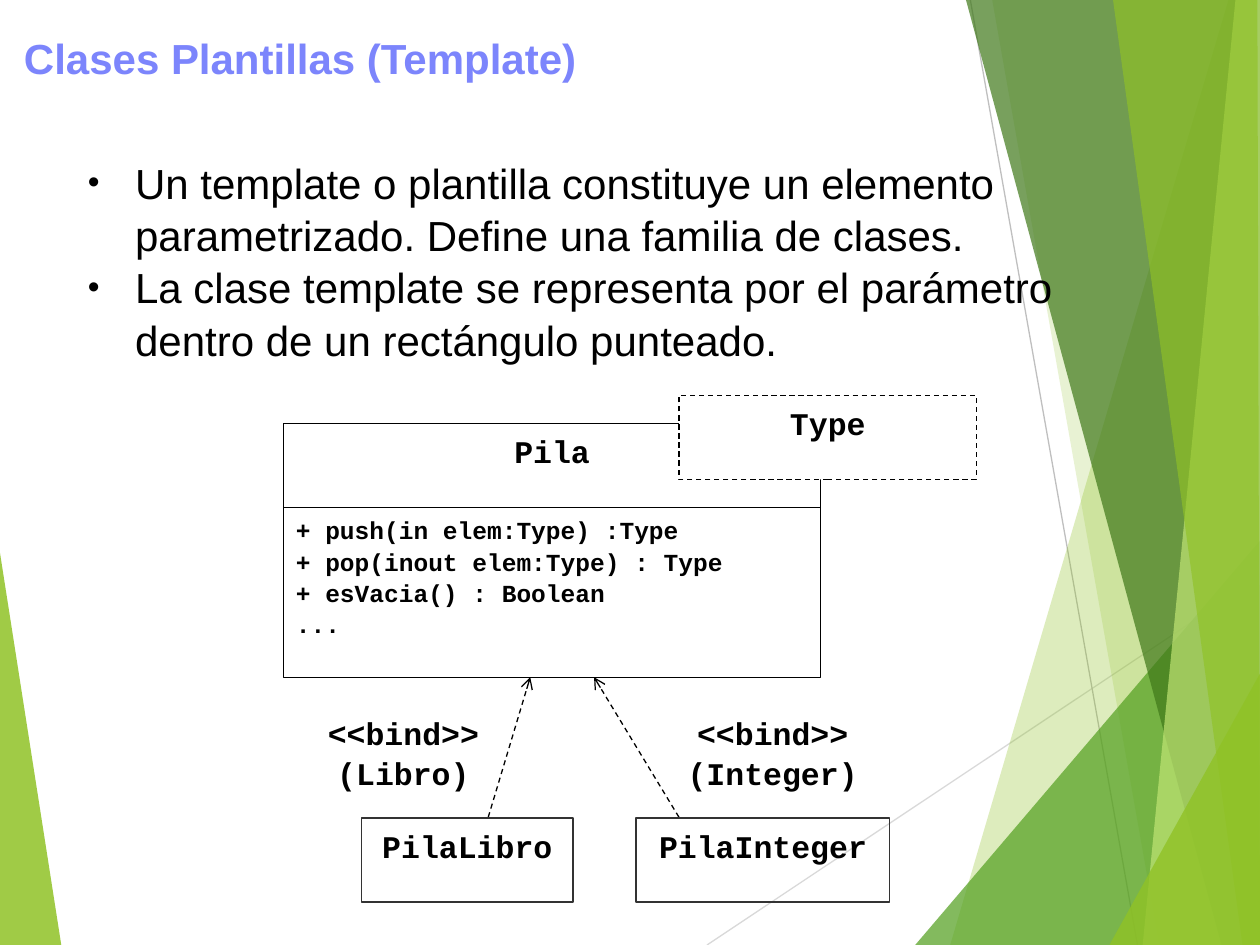
"""Build the slide on template classes with its UML binding diagram."""
from dataclasses import dataclass

from lxml import etree
from pptx import Presentation
from pptx.dml.color import RGBColor
from pptx.enum import dml, shapes, text
from pptx.oxml import ns
from pptx.util import Pt


@dataclass(frozen=True)
class Theme:
    """Colours, fonts and sizes of the slide."""
    heading: str = "7C85FC"
    ink: str = "000000"
    paper: str = "FFFFFF"
    soft_ink: str = "333333"
    lime: str = "90C226"
    green: str = "54A021"
    forest: str = "3F7819"
    pale: str = "C0E474"
    ray: str = "D9D9D9"
    dark_ray: str = "BFBFBF"
    sans: str = "Arial"
    mono: str = "Courier New"
    prose_size: int = 24
    name_size: int = 18
    code_size: int = 14
    hairline: float = 0.75
    prose_spacing: float = 1.04
    mono_spacing: float = 1.06


THEME = Theme()
WIDTH, HEIGHT = 720, 540
LEFT_WEDGE = [(0, 316), (35, 540), (0, 540)]
RIGHT_FACETS = [
    ([(702, 0), (543, 540), (720, 540), (720, 0)], THEME.lime, 30),
    ([(567, 0), (662.5, 540), (720, 540), (720, 0)], THEME.lime, 20),
    ([(523, 540), (720, 309), (720, 540)], THEME.green, 72),
    ([(552, 0), (698, 540), (720, 540), (720, 0)], THEME.forest, 70),
    ([(706, 0), (653, 540), (720, 540), (720, 0)], THEME.pale, 70),
    ([(636, 0), (710, 540), (720, 540), (718.5, 0)], THEME.lime, 65),
    ([(634, 540), (720, 385), (720, 540)], THEME.lime, 80),
]
POINTS = [
    "Un template o plantilla constituye un elemento parametrizado. "
    "Define una familia de clases.",
    "La clase template se representa por el parámetro dentro de un "
    "rectángulo punteado.",
]
OPERATIONS = [
    "+ push(in elem:Type) :Type",
    "+ pop(inout elem:Type) : Type",
    "+ esVacia() : Boolean",
    "...",
]


def add_child(parent, tag, **attributes):
    """Append a DrawingML element to parent and return it."""
    return etree.SubElement(parent, ns.qn(tag), attributes)


def style_font(paragraph, size, family, color, bold):
    """Set the font of a whole paragraph."""
    font = paragraph.font
    font.size, font.name, font.bold = Pt(size), family, bold
    font.color.rgb = RGBColor.from_string(color)


def style_line(line, color, dashed=False):
    """Give an outline or connector its hairline stroke."""
    line.color.rgb = RGBColor.from_string(color)
    line.width = Pt(THEME.hairline)
    if dashed:
        line.dash_style = dml.MSO_LINE.DASH


def add_facet(slide, corners, color, opacity):
    """Draw one translucent polygon of the background."""
    builder = slide.shapes.build_freeform(*map(Pt, corners[0]))
    builder.add_line_segments([(Pt(x), Pt(y)) for x, y in corners[1:]])
    facet = builder.convert_to_shape()
    facet.shadow.inherit = False
    facet.line.fill.background()
    facet.fill.solid()
    facet.fill.fore_color.rgb = RGBColor.from_string(color)
    tint = facet.element.spPr.find(".//" + ns.qn("a:srgbClr"))
    add_child(tint, "a:alpha", val=str(opacity * 1000))


def add_line(slide, start, end, color, binding=False):
    """Draw a plain ray, or a dashed arrow for a binding."""
    link = slide.shapes.add_connector(
        shapes.MSO_CONNECTOR.STRAIGHT, *map(Pt, (*start, *end)))
    style_line(link.line, color, binding)
    if binding:
        add_child(link.line._get_or_add_ln(), "a:tailEnd", type="arrow")
    add_child(link.element.spPr, "a:effectLst")


def write_mono(frame, lines, size, align):
    """Write bold monospaced paragraphs from the top of a frame."""
    frame.word_wrap = True
    frame.vertical_anchor = text.MSO_ANCHOR.TOP
    frame.text = "\n".join(lines)
    for paragraph in frame.paragraphs:
        paragraph.alignment = align
        paragraph.line_spacing = THEME.mono_spacing
        style_font(paragraph, size, THEME.mono, THEME.ink, True)


def add_class_box(slide, bounds, lines, size=THEME.name_size,
                  align=text.PP_ALIGN.CENTER, fill=None, line=THEME.ink,
                  dashed=False):
    """Draw one compartment of a UML class."""
    box = slide.shapes.add_shape(
        shapes.MSO_SHAPE.RECTANGLE, *map(Pt, bounds))
    box.shadow.inherit = False
    if fill:
        box.fill.solid()
        box.fill.fore_color.rgb = RGBColor.from_string(fill)
    else:
        box.fill.background()
    style_line(box.line, line, dashed)
    write_mono(box.text_frame, lines, size, align)


def add_binding_label(slide, bounds, label):
    """Write the stereotype beside a binding arrow."""
    box = slide.shapes.add_textbox(*map(Pt, bounds))
    write_mono(box.text_frame, [label], THEME.name_size,
               text.PP_ALIGN.CENTER)


def place_placeholder(placeholder, bounds, content, anchor):
    """Move a placeholder to the front, set its bounds and fill it."""
    placeholder.element.getparent().append(placeholder.element)
    (placeholder.left, placeholder.top,
     placeholder.width, placeholder.height) = map(Pt, bounds)
    frame = placeholder.text_frame
    frame.word_wrap = True
    frame.auto_size = text.MSO_AUTO_SIZE.NONE
    frame.vertical_anchor = anchor
    frame.text = content
    return frame.paragraphs


def add_title(slide, content):
    """Write the slide title."""
    heading, = place_placeholder(
        slide.shapes.title, (6.5, 6.5, 706, 45), content,
        text.MSO_ANCHOR.BOTTOM)
    heading.alignment = text.PP_ALIGN.LEFT
    heading.line_spacing = 0.9
    style_font(heading, THEME.prose_size, THEME.sans, THEME.heading, True)


def add_bullets(slide, points):
    """Write the bulleted explanation."""
    for point in place_placeholder(
            slide.placeholders[1], (43, 85, 634, 387), "\n".join(points),
            text.MSO_ANCHOR.TOP):
        point.space_before = Pt(0)
        point.line_spacing = THEME.prose_spacing
        layout = point._p.get_or_add_pPr()
        layout.set("marL", str(Pt(27)))
        layout.set("indent", str(Pt(-27)))
        add_child(add_child(layout, "a:buClr"), "a:srgbClr", val=THEME.ink)
        add_child(layout, "a:buSzPct", val="80000")
        add_child(layout, "a:buFont", typeface=THEME.sans)
        add_child(layout, "a:buChar", char="•")
        style_font(point, THEME.prose_size, THEME.sans, THEME.ink, False)


def add_background(slide):
    """Draw the green facets and thin rays."""
    add_facet(slide, LEFT_WEDGE, THEME.lime, 85)
    add_line(slide, (404, HEIGHT), (WIDTH, 329.5), THEME.ray)
    add_line(slide, (554.5, 0), (650, HEIGHT), THEME.dark_ray)
    for corners, color, opacity in RIGHT_FACETS:
        add_facet(slide, corners, color, opacity)


def add_diagram(slide):
    """Draw the template class and the classes bound to it."""
    add_class_box(slide, (162, 242, 307, 48), ["Pila"], fill=THEME.paper)
    add_class_box(slide, (388, 226, 170, 48), ["Type"], fill=THEME.paper,
                  dashed=True)
    add_class_box(slide, (162, 290, 307, 97), OPERATIONS, THEME.code_size,
                  text.PP_ALIGN.LEFT)
    for argument, left, width, label_left, label_width, start, end in (
            ("Libro", 206.5, 121, 158, 145, 279, 303),
            ("Integer", 363.5, 145, 351, 181, 388, 339.5)):
        add_line(slide, (start, 467), (end, 387), THEME.ink, binding=True)
        add_class_box(slide, (left, 467.5, width, 48), [f"Pila{argument}"],
                      line=THEME.soft_ink)
        add_binding_label(slide, (label_left, 403, label_width, 64),
                          f"<<bind>> ({argument})")


def main():
    """Assemble and save the slide."""
    deck = Presentation()
    deck.slide_width, deck.slide_height = Pt(WIDTH), Pt(HEIGHT)
    slide = deck.slides.add_slide(deck.slide_layouts[1])
    add_background(slide)
    add_diagram(slide)
    add_title(slide, "Clases Plantillas (Template)")
    add_bullets(slide, POINTS)
    deck.save("out.pptx")


if __name__ == "__main__":
    main()
